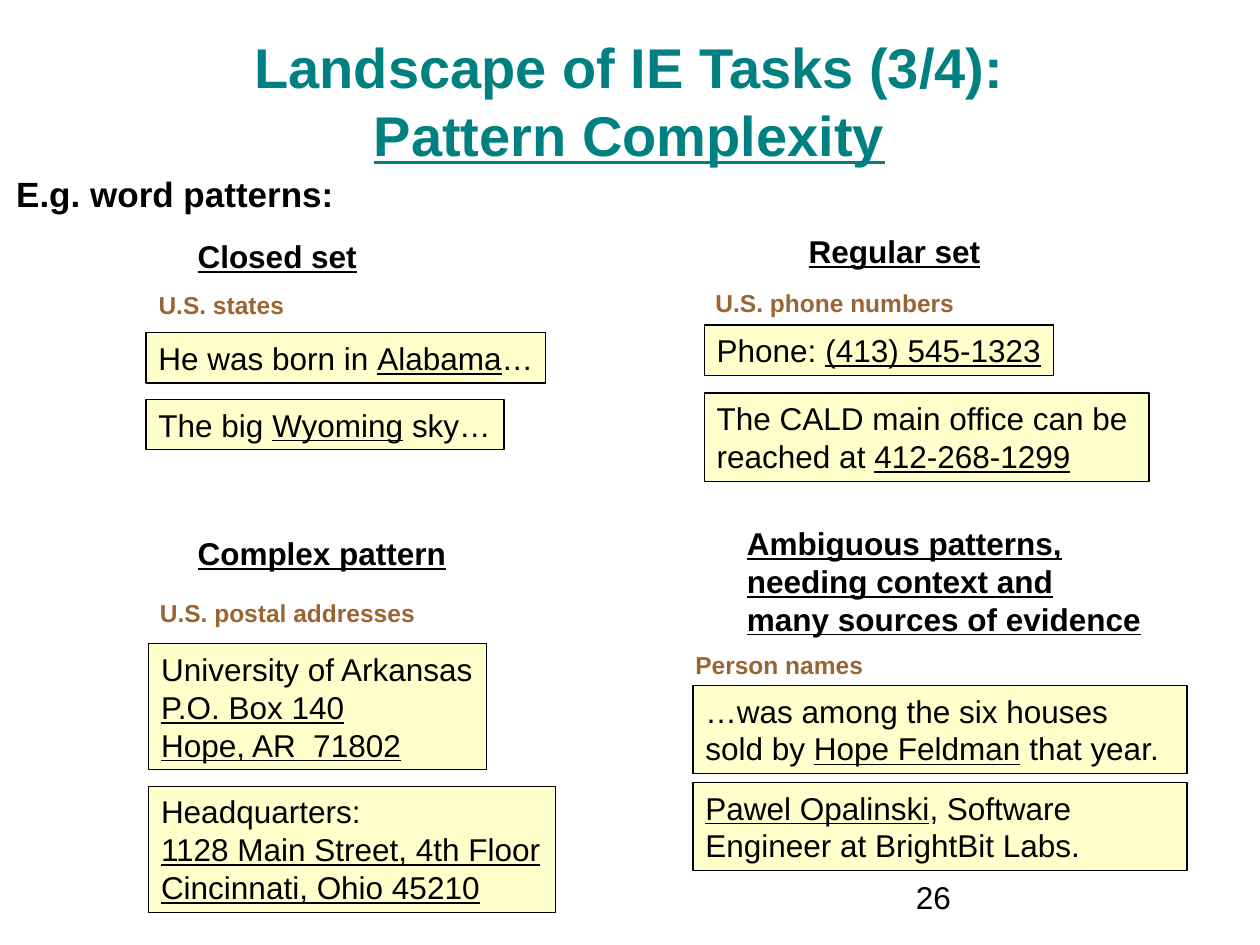
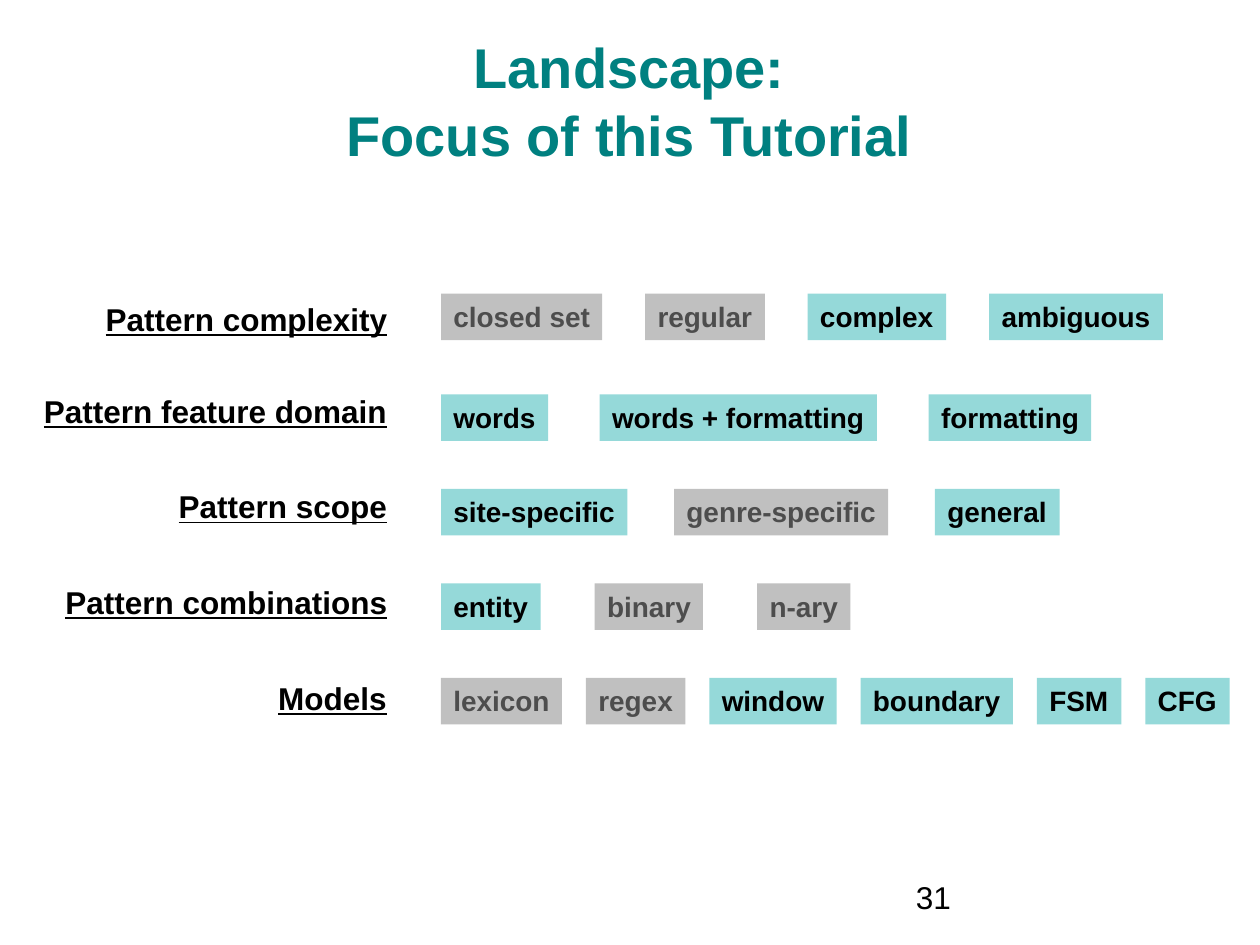
from copy import deepcopy

from pptx import Presentation
from pptx.dml.color import RGBColor
from pptx.enum.shapes import MSO_SHAPE
from pptx.enum.text import MSO_ANCHOR, MSO_AUTO_SIZE, PP_ALIGN
from pptx.util import Inches, Pt

FONT = "Arial"
TEAL = RGBColor(0x00, 0x80, 0x80)
BLACK = RGBColor(0x00, 0x00, 0x00)
BROWN = RGBColor(0x99, 0x66, 0x33)
CREAM = RGBColor(0xFF, 0xFF, 0xCC)
AQUA = RGBColor(0x95, 0xD9, 0xD9)
SILVER = RGBColor(0xC0, 0xC0, 0xC0)
DARK_GRAY = RGBColor(0x4D, 0x4D, 0x4D)

RECTANGLE = MSO_SHAPE.RECTANGLE
LEFT, CENTER = PP_ALIGN.LEFT, PP_ALIGN.CENTER
TOP, MIDDLE = MSO_ANCHOR.TOP, MSO_ANCHOR.MIDDLE
NO_FIT = MSO_AUTO_SIZE.NONE

TITLE_BOX = (0.33, 0.17, 9.33, 1.25)
NUMBER_BOX = (7.17, 6.92, 2.08, 0.5)
LABEL_RIGHT, CHIP_LEFT = 3.17, 3.5
LABEL_HEIGHT, CHIP_HEIGHT = 0.4, 0.37
SNUG, PADDED = 0, 0.1

COMPLEXITY_TITLE = [[("Landscape of IE Tasks (3/4):\n", False), ("Pattern Complexity", True)]]
FOCUS_TITLE = [[("Landscape:\nFocus of this Tutorial", False)]]

INTRO = ("E.g. word patterns:", (0.03, 1.32, 2.72, 0.44))

HEADINGS = [
    ("Closed set", (1.47, 1.83, 1.46, 0.4)),
    ("Regular set", (6.32, 1.79, 1.56, 0.4)),
    ("Complex pattern", (1.47, 4.19, 2.17, 0.4)),
    ("Ambiguous patterns,\nneeding context and\nmany sources of evidence", (5.83, 4.11, 3.32, 1)),
]

KINDS = [
    ("U.S. states", (1.16, 2.25, 1.19, 0.34)),
    ("U.S. phone numbers", (5.58, 2.24, 2.09, 0.34)),
    ("U.S. postal addresses", (1.17, 4.7, 2.22, 0.34)),
    ("Person names", (5.42, 5.11, 1.53, 0.34)),
]

EXAMPLES = [
    ((1.16, 2.64, 3.17, 0.4), SNUG,
     [[("He was born in ", False), ("Alabama", True), ("…", False)]]),
    ((1.16, 3.17, 2.84, 0.4), SNUG,
     [[("The big ", False), ("Wyoming", True), (" sky…", False)]]),
    ((5.59, 2.58, 2.77, 0.4), SNUG,
     [[("Phone: ", False), ("(413) 545-1323", True)]]),
    ((5.59, 3.12, 3.53, 0.7), SNUG,
     [[("The CALD main office can be \nreached at ", False), ("412-268-1299", True)]]),
    ((1.18, 5.11, 2.68, 1), SNUG,
     [[("University of Arkansas", False)], [("P.O. Box 140", True)], [("Hope, AR  71802", True)]]),
    ((1.18, 6.24, 3.23, 1), SNUG,
     [[("Headquarters:", False)], [("1128 Main Street, 4th Floor", True)],
      [("Cincinnati, Ohio 45210", True)]]),
    ((5.5, 5.44, 3.92, 0.7), PADDED,
     [[("…was among the six houses sold by ", False), ("Hope Feldman", True),
       (" that year.", False)]]),
    ((5.5, 6.21, 3.92, 0.7), PADDED,
     [[("Pawel Opalinski", True), (", Software\nEngineer at BrightBit Labs.", False)]]),
]

FOCUS_ROWS = [
    ("Pattern complexity", 2.43, 2.33, 2.33, 0.34,
     [("closed set", 1.28, False), ("regular", 0.95, False),
      ("complex", 1.1, True), ("ambiguous", 1.38, True)]),
    ("Pattern feature domain", 2.92, 3.06, 3.13, 0.41,
     [("words", 0.85, True), ("words + formatting", 2.2, True), ("formatting", 1.29, True)]),
    ("Pattern scope", 1.85, 3.82, 3.88, 0.37,
     [("site-specific", 1.48, True), ("genre-specific", 1.7, False), ("general", 0.99, True)]),
    ("Pattern combinations", 2.75, 4.58, 4.63, 0.43,
     [("entity", 0.79, True), ("binary", 0.86, False), ("n-ary", 0.74, False)]),
    ("Models", 1.06, 5.34, 5.38, 0.19,
     [("lexicon", 0.96, False), ("regex", 0.79, False), ("window", 1.01, True),
      ("boundary", 1.21, True), ("FSM", 0.67, True), ("CFG", 0.67, True)]),
]


def add_run(paragraph, text, size, color, bold, underline):
    run = paragraph.add_run()
    run.text = text
    font = run.font
    font.name, font.size, font.bold = FONT, Pt(size), bold
    font.underline = underline
    font.color.rgb = color
    return run


def write(shape, paragraphs, size=18, color=BLACK, bold=False, right_margin=SNUG,
          align=LEFT, anchor=TOP):
    frame = shape.text_frame
    frame.word_wrap, frame.auto_size, frame.vertical_anchor = True, NO_FIT, anchor
    frame.margin_right = Inches(right_margin)
    for index, runs in enumerate(paragraphs):
        paragraph = frame.add_paragraph() if index else frame.paragraphs[0]
        paragraph.alignment = align
        for text, underline in runs:
            for number, line in enumerate(text.split("\n")):
                if number:
                    paragraph.add_line_break()
                    paragraph._p[-1].append(deepcopy(run._r.rPr))
                if line:
                    run = add_run(paragraph, line, size, color, bold, underline)


def add_text(slide, text, box, underline=False, **style):
    shape = slide.shapes.add_textbox(*map(Inches, box))
    write(shape, [[(text, underline)]], **style)


def add_box(slide, paragraphs, box, fill, line=None, **style):
    shape = slide.shapes.add_shape(RECTANGLE, *map(Inches, box))
    shape.shadow.inherit = False
    shape.fill.solid()
    shape.fill.fore_color.rgb = fill
    if line is None:
        shape.line.fill.background()
    else:
        shape.line.color.rgb = line
        shape.line.width = Pt(0.75)
    write(shape, paragraphs, **style)


def add_slide(presentation, title_paragraphs, number):
    slide = presentation.slides.add_slide(presentation.slide_layouts[5])
    title = slide.shapes.title
    title.left, title.top, title.width, title.height = map(Inches, TITLE_BOX)
    write(title, title_paragraphs, size=32, color=TEAL, bold=True,
          right_margin=PADDED, align=CENTER, anchor=MIDDLE)
    add_text(slide, number, NUMBER_BOX, right_margin=PADDED)
    return slide


def build_complexity(presentation):
    slide = add_slide(presentation, COMPLEXITY_TITLE, "26")
    add_text(slide, *INTRO, size=20, bold=True)
    for text, box in HEADINGS:
        add_text(slide, text, box, underline=True, bold=True)
    for text, box in KINDS:
        add_text(slide, text, box, size=14, color=BROWN, bold=True)
    for box, right_margin, paragraphs in EXAMPLES:
        add_box(slide, paragraphs, box, CREAM, BLACK, right_margin=right_margin)


def build_focus(presentation):
    slide = add_slide(presentation, FOCUS_TITLE, "31")
    for label, label_width, label_top, chip_top, gap, chips in FOCUS_ROWS:
        label_box = (LABEL_RIGHT - label_width, label_top, label_width, LABEL_HEIGHT)
        add_text(slide, label, label_box, underline=True, bold=True)
        left = CHIP_LEFT
        for text, width, in_focus in chips:
            fill, color = (AQUA, BLACK) if in_focus else (SILVER, DARK_GRAY)
            add_box(slide, [[(text, False)]], (left, chip_top, width, CHIP_HEIGHT), fill,
                    size=16, color=color, bold=True)
            left += width + gap


def main():
    presentation = Presentation()
    presentation.slide_width, presentation.slide_height = Inches(10), Inches(7.5)
    build_complexity(presentation)
    build_focus(presentation)
    presentation.save("out.pptx")


if __name__ == "__main__":
    main()
